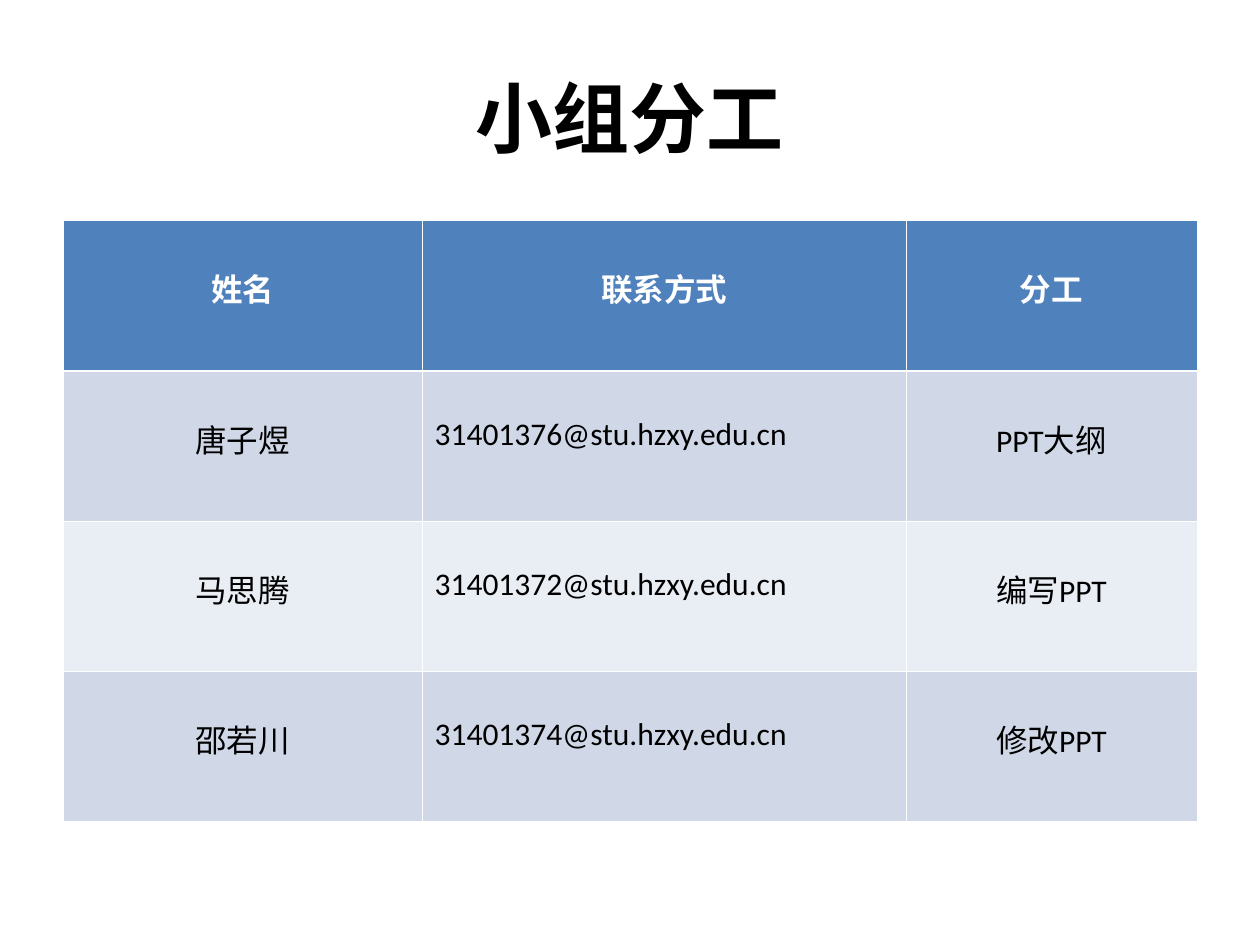
from lxml.etree import SubElement
from pptx import Presentation
from pptx.dml.color import RGBColor
from pptx.enum.text import MSO_ANCHOR, PP_ALIGN
from pptx.oxml.ns import qn
from pptx.util import Pt

TITLE = "小组分工"
ROWS = [
    ("姓名", "联系方式", "分工"),
    ("唐子煜", "31401376@stu.hzxy.edu.cn", "PPT大纲"),
    ("马思腾", "31401372@stu.hzxy.edu.cn", "编写PPT"),
    ("邵若川", "31401374@stu.hzxy.edu.cn", "修改PPT"),
]
CONTACT_COLUMN = 1
COLUMN_WIDTHS = [205.2, 276.48, 166.32]
ROW_HEIGHT = 85.86
LEFT, TITLE_TOP, TABLE_TOP = 36, 21.6, 126
WIDTH, TITLE_HEIGHT = 648, 90
CELL_TOP_MARGIN = 25.6
THIN_LINE, HEADER_LINE = 0.45, 1.47

FONT = "Calibri"
BLACK = RGBColor(0x00, 0x00, 0x00)
WHITE = RGBColor(0xFF, 0xFF, 0xFF)
HEADER_FILL = RGBColor(0x4F, 0x81, 0xBD)
BAND_FILLS = [RGBColor(0xE9, 0xED, 0xF4), RGBColor(0xD0, 0xD8, 0xE8)]


def add_text(text_frame, text, size, color, bold, alignment):
    paragraph = text_frame.paragraphs[0]
    paragraph.alignment = alignment
    run = paragraph.add_run()
    run.text = text
    run.font.name = FONT
    run.font.size = Pt(size)
    run.font.bold = bold
    run.font.color.rgb = color


def set_borders(cell, top, bottom):
    """Draw white cell borders; the line elements must precede the fill."""
    properties = cell._tc.get_or_add_tcPr()
    widths = {"a:lnL": THIN_LINE, "a:lnR": THIN_LINE, "a:lnT": top, "a:lnB": bottom}
    for position, (tag, width) in enumerate(widths.items()):
        line = SubElement(properties, qn(tag), w=str(int(Pt(width))))
        fill = SubElement(line, qn("a:solidFill"))
        SubElement(fill, qn("a:srgbClr"), val=str(WHITE))
        properties.insert(position, line)


def add_title(slide):
    title = slide.shapes.add_textbox(Pt(LEFT), Pt(TITLE_TOP), Pt(WIDTH), Pt(TITLE_HEIGHT))
    title.text_frame.word_wrap = True
    title.text_frame.vertical_anchor = MSO_ANCHOR.MIDDLE
    add_text(title.text_frame, TITLE, 44, BLACK, True, PP_ALIGN.CENTER)


def add_members_table(slide):
    table = slide.shapes.add_table(
        len(ROWS), len(COLUMN_WIDTHS), Pt(LEFT), Pt(TABLE_TOP),
        Pt(WIDTH), Pt(ROW_HEIGHT * len(ROWS)),
    ).table
    for column, width in zip(table.columns, COLUMN_WIDTHS):
        column.width = Pt(width)
    for row_index, texts in enumerate(ROWS):
        table.rows[row_index].height = Pt(ROW_HEIGHT)
        header = row_index == 0
        for column_index, text in enumerate(texts):
            cell = table.cell(row_index, column_index)
            cell.margin_top = Pt(CELL_TOP_MARGIN)
            cell.fill.solid()
            cell.fill.fore_color.rgb = HEADER_FILL if header else BAND_FILLS[row_index % 2]
            set_borders(
                cell,
                top=HEADER_LINE if row_index == 1 else THIN_LINE,
                bottom=HEADER_LINE if header else THIN_LINE,
            )
            left_aligned = column_index == CONTACT_COLUMN and not header
            add_text(
                cell.text_frame, text, 18, WHITE if header else BLACK, header,
                PP_ALIGN.LEFT if left_aligned else PP_ALIGN.CENTER,
            )


def main():
    presentation = Presentation()
    presentation.slide_width = Pt(720)
    presentation.slide_height = Pt(540)
    slide = presentation.slides.add_slide(presentation.slide_layouts[6])
    add_title(slide)
    add_members_table(slide)
    presentation.save("out.pptx")


if __name__ == "__main__":
    main()
